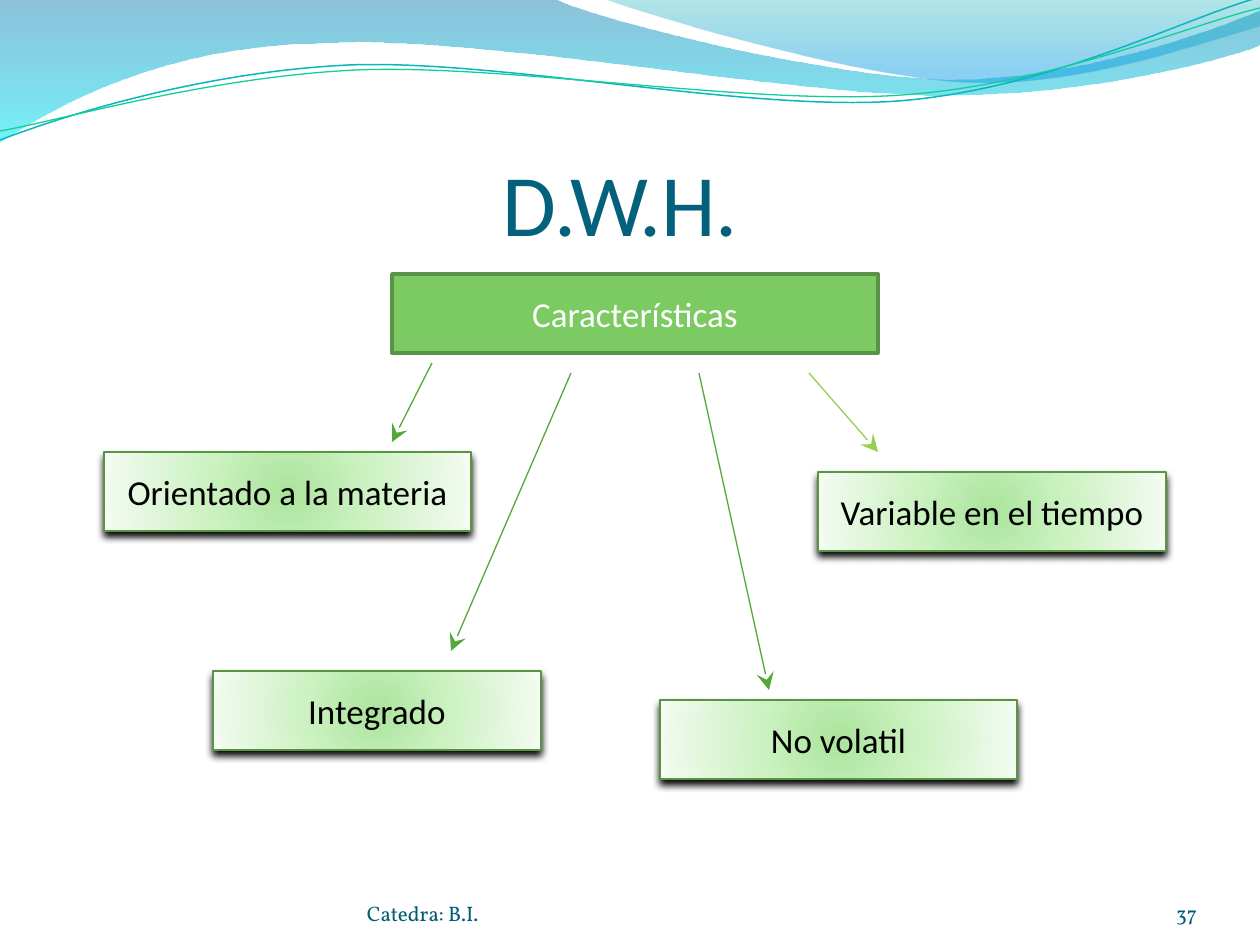
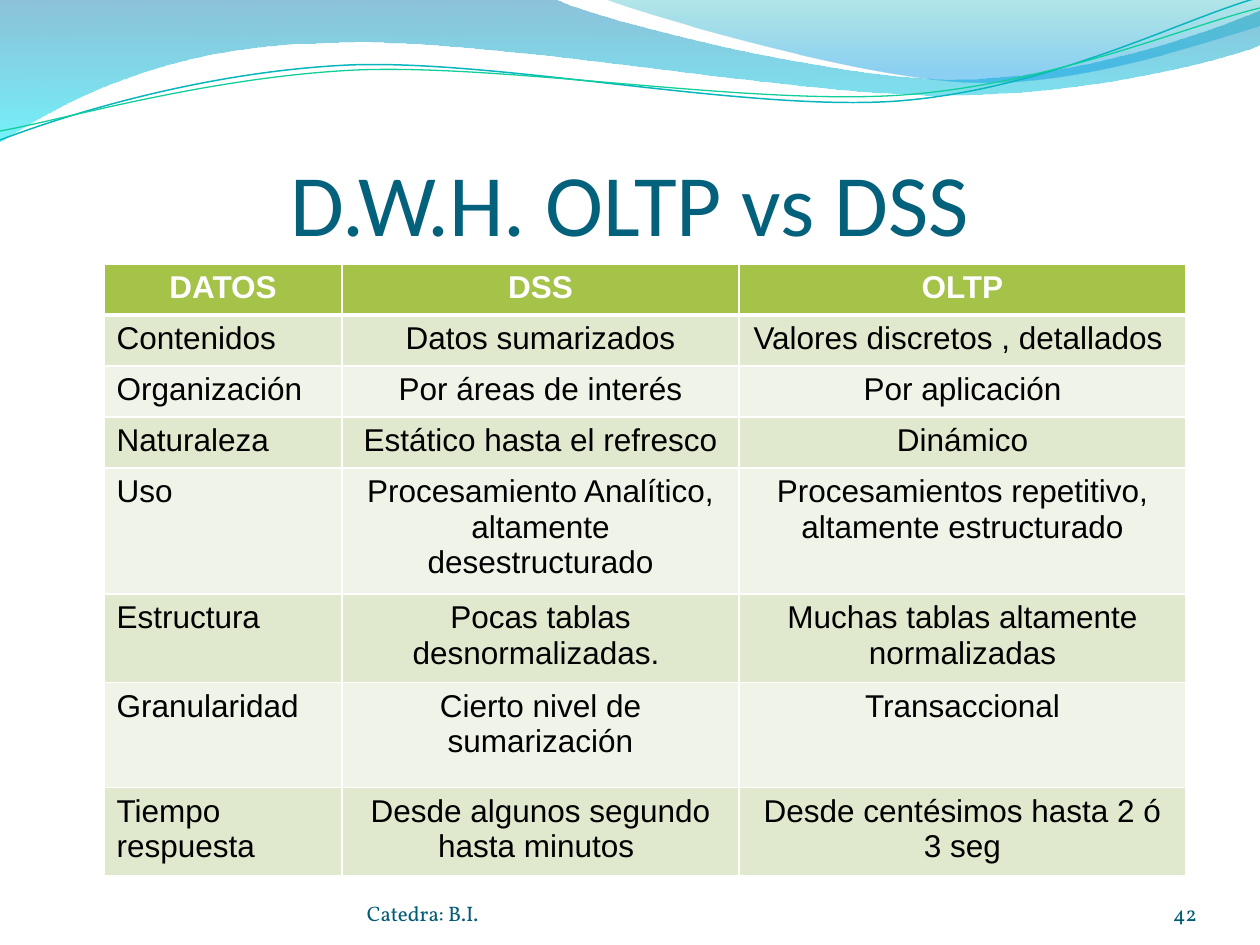
from dataclasses import dataclass
from lxml.etree import SubElement
from pptx import Presentation
from pptx.dml.color import RGBColor
from pptx.enum.shapes import MSO_CONNECTOR, MSO_SHAPE
from pptx.enum.text import MSO_ANCHOR, PP_ALIGN
from pptx.oxml import parse_xml
from pptx.oxml.ns import nsdecls, qn
from pptx.util import Emu, Pt

UNIT = 914400 / 126
LEFT, MID, RIGHT = PP_ALIGN.LEFT, PP_ALIGN.CENTER, PP_ALIGN.RIGHT


@dataclass(frozen=True)
class Theme:
    title: str = "04617B"
    foot: str = "035C75"
    white: str = "FFFFFF"
    black: str = "000000"
    root: str = "7CCA62"
    edge: str = "5A9347"
    rim: str = "599445"
    arrow: str = "54A838"
    lime: str = "92D050"
    head: str = "A5C249"
    bands: tuple = ("F0F4E8", "E0E9CE")
    glow: tuple = ((0, "ABE49C", 100), (43, "CCF2C2", 100),
                   (93, "EFFAEC", 100), (100, "F7FFF7", 100))
    wave: tuple = ((0, "0079AD", 45), (100, "00E9F7", 55))
    crest: tuple = ((0, "00ABB4", 30), (80, "0099E4", 45), (100, "0099E4", 45))
    teal: str = "09B6BE"
    mint: str = "10CF9B"
    sans: str = "Calibri"
    serif: str = "Vollkorn"
    grid: str = "Arial"
    big: int = 50
    node: int = 20
    cell: int = 18
    small: int = 12


T = Theme()

WAVES = [
    (T.wave, [(0, 0), (554, -1), (600, 21, 837, 79, 955, 79),
              (1075, 79, 1207, 33, 1260, 11), (1261, 45),
              (1239, 55, 1096, 96, 940, 95), (784, 95, 481, 35, 324, 43),
              (163, 45, 58, 105, -1, 142), (0, 0)]),
    (T.crest, [(604, -1), (641, 14, 859, 78, 969, 82),
               (1079, 87, 1211, 40, 1260, 26), (1260, 0), (604, -1)]),
]
STRANDS = [
    (T.teal, 0.85, [(0, 140), (60, 117, 199, 72, 349, 65),
                    (498, 59, 747, 112, 898, 101),
                    (1050, 89, 1182, 19, 1257, -2)]),
    (T.mint, 0.75, [(0, 131), (59, 121, 207, 77, 357, 70),
                    (508, 64, 752, 106, 903, 95),
                    (1053, 84, 1186, 26, 1260, 8)]),
]
NODES = [
    ("Orientado a la materia", 0, 178, 367),
    ("Variable en el tiempo", 714, 198, 348),
    ("Integrado", 109, 397, 328),
    ("No volatil", 556, 426, 357),
]
ARROWS = [
    (T.arrow, 328, 89, 288, 168),
    (T.lime, 705, 99, 774, 178),
    (T.arrow, 467, 99, 347, 377),
    (T.arrow, 595, 99, 665, 416),
]
COLS = [238, 397, 447]
ROWS = [
    ("DATOS", "DSS", "OLTP"),
    ("Contenidos", "Datos sumarizados", "Valores discretos , detallados "),
    ("Organización", "Por áreas de interés", "Por aplicación"),
    ("Naturaleza", "Estático hasta el refresco", "Dinámico"),
    ("Uso", "Procesamiento Analítico, altamente desestructurado",
     "Procesamientos repetitivo, altamente estructurado"),
    ("Estructura", "Pocas tablas desnormalizadas. ",
     "Muchas tablas altamente normalizadas"),
    ("Granularidad", "Cierto nivel de sumarización", "Transaccional"),
    ("Tiempo respuesta", "Desde algunos segundo hasta minutos ",
     "Desde centésimos hasta 2 ó 3 seg"),
]
TALL = {"Granularidad": 105}


def px(*nums):
    return [Emu(round(n * UNIT)) for n in nums]


def put(item, vals):
    for key, val in vals.items():
        setattr(item, key, val)


def tint(fill, color):
    fill.solid()
    fill.fore_color.rgb = RGBColor.from_string(color)


def stroke(line, color, width):
    tint(line.fill, color)
    line.width = Pt(width)


def write(frame, text, font, size, color, align=MID, bold=False):
    para = frame.paragraphs[0]
    para.alignment = align
    run = para.add_run()
    run.text = text
    put(run.font, {"name": font, "size": Pt(size), "bold": bold})
    run.font.color.rgb = RGBColor.from_string(color)


def label(slide, box, text, font, size, color, align=LEFT, top=0):
    frame = slide.shapes.add_textbox(*px(*box)).text_frame
    put(frame, {"word_wrap": True, "vertical_anchor": MSO_ANCHOR.BOTTOM,
                "margin_left": 0, "margin_top": px(top)[0],
                "margin_right": 0, "margin_bottom": 0})
    write(frame, text, font, size, color, align)


def blend(shape, stops, shade):
    marks = "".join(
        f'<a:gs pos="{pos * 1000}"><a:srgbClr val="{color}">'
        f'<a:alpha val="{alpha * 1000}"/></a:srgbClr></a:gs>'
        for pos, color, alpha in stops)
    shape.fill.background()
    props = shape._element.spPr
    props.replace(props.find(qn("a:noFill")), parse_xml(
        f'<a:gradFill {nsdecls("a")} rotWithShape="1">'
        f'<a:gsLst>{marks}</a:gsLst>{shade}</a:gradFill>'))


def trace(slide, steps, close):
    points = [px(*step[i:i + 2]) for step in steps
              for i in range(0, len(step), 2)]
    pen = slide.shapes.build_freeform(*points[0])
    pen.add_line_segments(points[1:], close=close)
    shape = pen.convert_to_shape()
    shape.shadow.inherit = False
    legs = iter(list(shape._element.iter(qn("a:lnTo"))))
    for step in steps[1:]:
        leg = next(legs)
        if len(step) == 6:
            curve = parse_xml(f'<a:cubicBezTo {nsdecls("a")}/>')
            leg.addprevious(curve)
            for part in (leg, next(legs), next(legs)):
                curve.append(part[0])
                part.getparent().remove(part)
    return shape


def banner(slide):
    for stops, steps in WAVES:
        shape = trace(slide, steps, True)
        blend(shape, stops, '<a:lin ang="5400000" scaled="1"/>')
        shape.line.fill.background()
    for color, width, steps in STRANDS:
        shape = trace(slide, steps, False)
        shape.fill.background()
        stroke(shape.line, color, width)


def footer(slide, box, number):
    x, y, w, h = box
    label(slide, (x, y, 462, h), "Catedra: B.I.", T.serif, T.small, T.foot)
    label(slide, (x + w - 105, y, 105, h), number, T.serif, T.small,
          T.foot, RIGHT)


def base(deck, title, number):
    slide = deck.slides.add_slide(deck.slide_layouts[6])
    banner(slide)
    label(slide, (63, 97, 1134, 157), title, T.sans, T.big, T.title, MID, 6)
    footer(slide, (367, 876, 830, 50), number)
    return slide


def block(slide, box, text, color, edge, width):
    shape = slide.shapes.add_shape(MSO_SHAPE.RECTANGLE, *px(*box))
    shape.shadow.inherit = False
    stroke(shape.line, edge, width)
    put(shape.text_frame, {"word_wrap": True,
                           "vertical_anchor": MSO_ANCHOR.MIDDLE})
    write(shape.text_frame, text, T.sans, T.node, color)
    return shape


def cast(shape):
    effects = shape._element.spPr.find(qn("a:effectLst"))
    effects.append(parse_xml(
        f'<a:outerShdw {nsdecls("a")} blurRad="{Pt(4.5)}" dist="{Pt(3)}" '
        f'dir="5400000" rotWithShape="0"><a:srgbClr val="{T.black}"/>'
        '</a:outerShdw>'))


def arrow(slide, ends, color):
    link = slide.shapes.add_connector(MSO_CONNECTOR.STRAIGHT, *px(*ends))
    stroke(link.line, color, 0.75)
    SubElement(link.line._get_or_add_ln(), qn("a:tailEnd"),
               type="stealth", w="lg", len="lg")
    SubElement(link._element.spPr, qn("a:effectLst"))


def traits(slide, box):
    x, y, w, h = box
    root = block(slide, (x + 288, y, 486, 79), "Características",
                 T.white, T.edge, 2)
    tint(root.fill, T.root)
    for text, dx, dy, wide in NODES:
        node = block(slide, (x + dx, y + dy, wide, 79), text,
                     T.black, T.rim, 0.75)
        blend(node, T.glow, '<a:path path="circle"><a:fillToRect l="50000" '
              't="50000" r="50000" b="50000"/></a:path>')
        cast(node)
    for color, ax, ay, bx, by in ARROWS:
        arrow(slide, (x + ax, y + ay, x + bx, y + by), color)


def border(cell, row):
    props = cell._tc.get_or_add_tcPr()
    widths = {"L": 1, "R": 1, "T": 3 if row == 1 else 1,
              "B": 3 if row == 0 else 1}
    for i, (side, width) in enumerate(widths.items()):
        props.insert(i, parse_xml(
            f'<a:ln{side} {nsdecls("a")} w="{Pt(width)}"><a:solidFill>'
            f'<a:srgbClr val="{T.white}"/></a:solidFill></a:ln{side}>'))


def matrix(slide, box):
    frame = slide.shapes.add_table(len(ROWS), len(COLS), *px(*box))
    table = frame.table
    put(table, {"first_row": True, "horz_banding": False})
    for col, wide in zip(table.columns, COLS):
        col.width = px(wide)[0]
    for r, texts in enumerate(ROWS):
        table.rows[r].height = px(TALL.get(texts[0], 51))[0]
        for c, text in enumerate(texts):
            cell = table.cell(r, c)
            tint(cell.fill, T.bands[r % 2] if r else T.head)
            border(cell, r)
            write(cell.text_frame, text, T.grid, T.cell,
                  T.black if r else T.white,
                  LEFT if r and c == 0 else MID, r == 0)
    frame.height = px(box[3])[0]


def main():
    deck = Presentation()
    wide, high = px(1260, 945)
    put(deck, {"slide_width": wide, "slide_height": high})
    traits(base(deck, "D.W.H. ", "37"), (104, 274, 1062, 505))
    matrix(base(deck, "D.W.H. OLTP vs DSS", "42"),
           (104, 264, sum(COLS), 413))
    deck.save("out.pptx")


if __name__ == "__main__":
    main()
